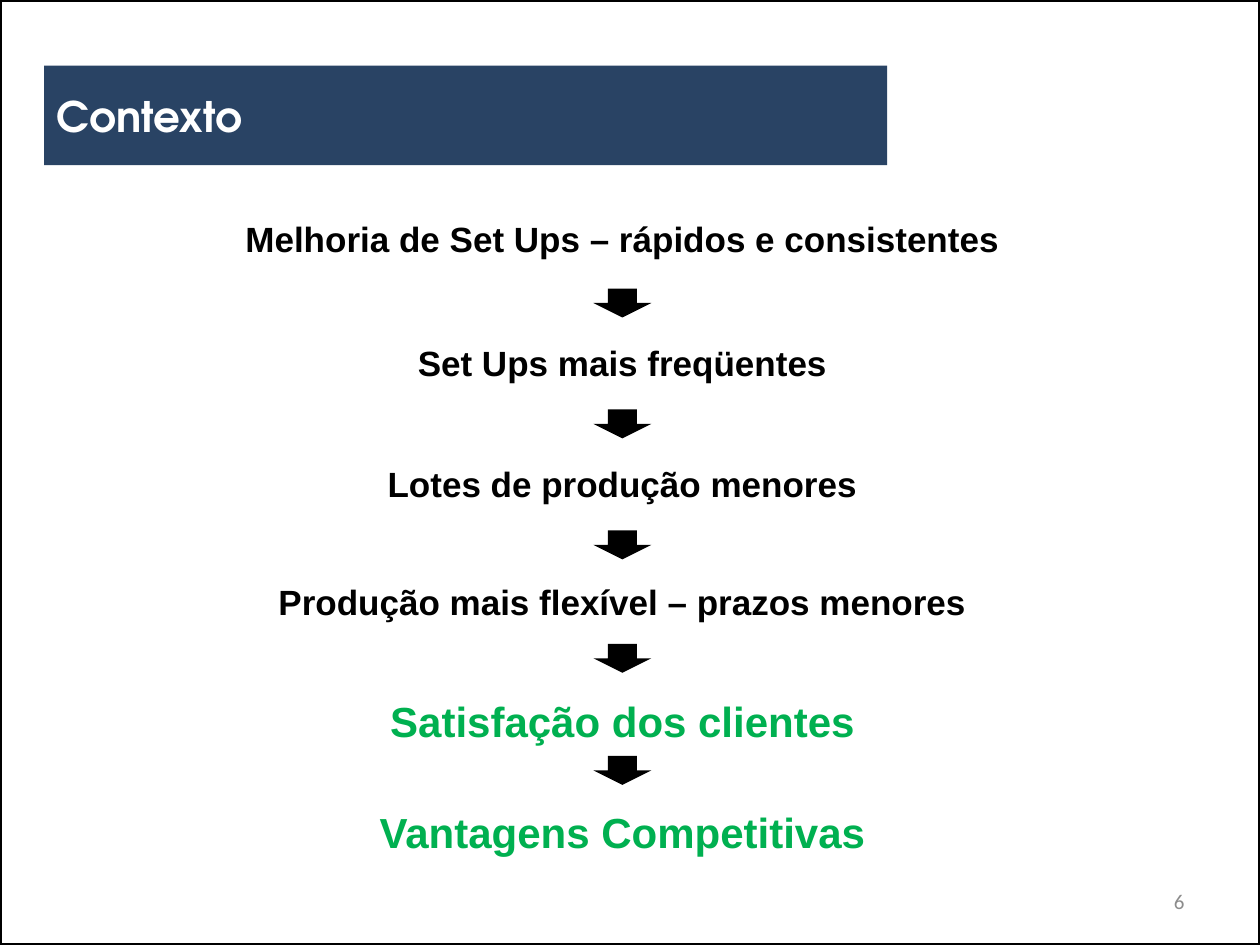
import pptx
import pptx.util
import pptx.dml.color
import pptx.enum.shapes
import pptx.enum.text
import pptx.oxml
import pptx.oxml.ns

Inches = pptx.util.Inches
Pt = pptx.util.Pt
RGBColor = pptx.dml.color.RGBColor
Shape = pptx.enum.shapes.MSO_SHAPE
Align = pptx.enum.text.PP_ALIGN
Anchor = pptx.enum.text.MSO_ANCHOR

NAVY = RGBColor(0x25, 0x40, 0x61)
WHITE = RGBColor(0xFF, 0xFF, 0xFF)
BLACK = RGBColor(0, 0, 0)
GREEN = RGBColor(0x00, 0xB0, 0x50)
GRAY = RGBColor(0x8C, 0x8C, 0x8C)

TITLE = "Contexto"
PAGE_NUMBER = "6"
STEPS = [
    ("Melhoria de Set Ups – rápidos e consistentes", 1.68, 8.81, 0.49, Anchor.TOP, 20, BLACK),
    ("Set Ups mais freqüentes", 2.64, 8.19, 0.48, Anchor.MIDDLE, 20, BLACK),
    ("Lotes de produção menores", 3.6, 7.7, 0.48, Anchor.MIDDLE, 20, BLACK),
    ("Produção mais flexível – prazos menores", 4.56, 7.4, 0.44, Anchor.TOP, 20, BLACK),
    ("Satisfação dos clientes", 5.47, 4.32, 0.42, Anchor.TOP, 24, GREEN),
    ("Vantagens Competitivas", 6.35, 4.33, 0.75, Anchor.TOP, 24, GREEN),
]
ARROW_TOPS = [2.29, 3.25, 4.21, 5.11, 6]
ARROW_WIDTH, ARROW_HEIGHT = 0.46, 0.23
CENTER = 4.94
ROUND_RECT = (
    '<a:prstGeom %s prst="roundRect"><a:avLst>'
    '<a:gd name="adj" fmla="val 5700"/></a:avLst></a:prstGeom>'
    % pptx.oxml.ns.nsdecls("a")
)
ALPHA = '<a:alpha %s val="98000"/>' % pptx.oxml.ns.nsdecls("a")


def write(frame, text, font, size, color, bold, align, anchor):
    frame.word_wrap = True
    frame.vertical_anchor = anchor
    para = frame.paragraphs[0]
    para.text = text
    para.alignment = align
    para.font.name = font
    para.font.size = Pt(size)
    para.font.bold = bold
    para.font.color.rgb = color


def place(shape, left, top, width, height):
    shape.left, shape.top = Inches(left), Inches(top)
    shape.width, shape.height = Inches(width), Inches(height)


def add_title(page):
    title = page.shapes.title
    place(title, 0.35, 0.52, 6.69, 0.79)
    properties = title.element.spPr
    properties.append(pptx.oxml.parse_xml(ROUND_RECT))
    title.fill.solid()
    title.fill.fore_color.rgb = NAVY
    properties.find(".//" + pptx.oxml.ns.qn("a:srgbClr")).append(pptx.oxml.parse_xml(ALPHA))
    write(title.text_frame, TITLE, "TeX Gyre Adventor", 24, WHITE, True, Align.LEFT, Anchor.MIDDLE)


def add_text(page, left, top, width, height, *style):
    box = page.shapes.add_textbox(Inches(left), Inches(top), Inches(width), Inches(height))
    write(box.text_frame, *style)


def add_arrow(page, top):
    arrow = page.shapes.add_shape(
        Shape.DOWN_ARROW, Inches(CENTER - ARROW_WIDTH / 2), Inches(top),
        Inches(ARROW_WIDTH), Inches(ARROW_HEIGHT))
    arrow.shadow.inherit = False
    arrow.fill.solid()
    arrow.fill.fore_color.rgb = BLACK
    arrow.line.fill.background()


def main():
    deck = pptx.Presentation()
    deck.slide_width, deck.slide_height = Inches(10), Inches(7.5)
    page = deck.slides.add_slide(deck.slide_layouts[5])

    border = page.shapes.add_shape(Shape.RECTANGLE, 0, 0, deck.slide_width, deck.slide_height)
    border.shadow.inherit = False
    border.fill.background()
    border.line.color.rgb = BLACK
    border.line.width = Pt(2)

    add_title(page)
    for text, top, width, height, anchor, size, color in STEPS:
        add_text(page, CENTER - width / 2, top, width, height,
                 text, "Arial", size, color, True, Align.CENTER, anchor)
    for top in ARROW_TOPS:
        add_arrow(page, top)
    add_text(page, 7.17, 6.95, 2.33, 0.4,
             PAGE_NUMBER, "Calibri", 12, GRAY, False, Align.RIGHT, Anchor.MIDDLE)

    deck.save("out.pptx")


if __name__ == "__main__":
    main()
